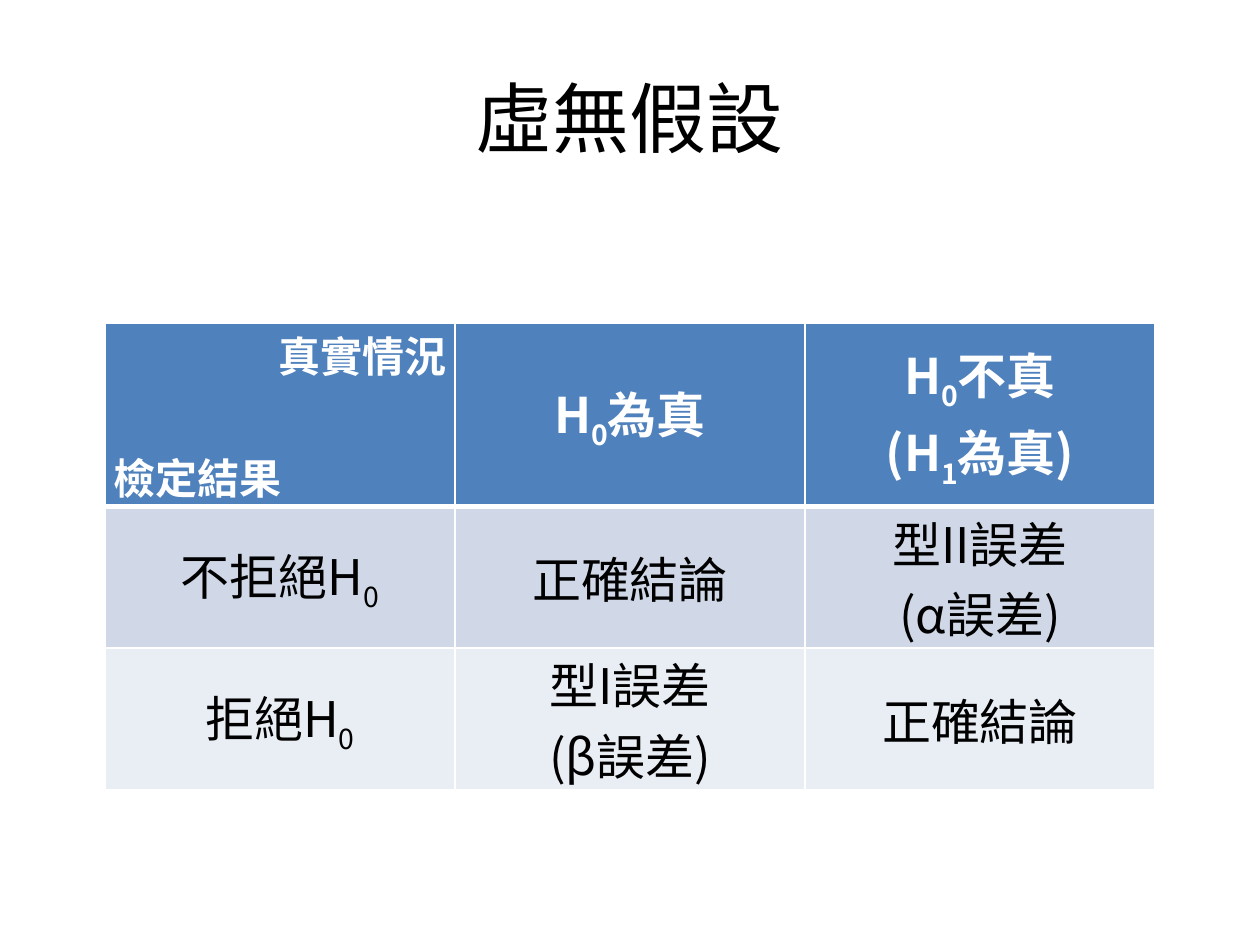
from dataclasses import dataclass

from lxml.etree import SubElement
from pptx import Presentation
from pptx.dml.color import RGBColor as RGB
from pptx.enum.text import MSO_ANCHOR as Anchor, PP_ALIGN as Align
from pptx.oxml.ns import qn
from pptx.util import Pt


@dataclass(frozen=True)
class Theme:
    font: str = "Noto Sans CJK SC"
    title_size: int = 44
    cell_size: int = 28
    corner_size: int = 24
    ink: str = "000000"
    white: str = "FFFFFF"
    row_fills: tuple = ("4F81BD", "D0D8E8", "E9EDF4")


theme = Theme()


def write(paragraph, text, size, color, align, bold=False):
    """Fill a paragraph; the character after each underscore is a subscript."""
    paragraph.alignment = align
    font = paragraph.font
    font.name, font.size, font.bold = theme.font, Pt(size), bold
    font.color.rgb = RGB.from_string(color)
    SubElement(font._element, qn("a:ea"), typeface=theme.font)
    first, *rest = text.split("_")
    paragraph.add_run().text = first
    for part in rest:
        subscript = paragraph.add_run()
        subscript.text = part[0]
        subscript._r.get_or_add_rPr().set("baseline", "-25000")
        if part[1:]:
            paragraph.add_run().text = part[1:]


def style_cell(cell, fill, bottom):
    """Set margins, white borders and the fill of a cell."""
    cell.margin_left = cell.margin_right = Pt(5)
    cell.margin_top = cell.margin_bottom = Pt(0)
    properties = cell._tc.get_or_add_tcPr()
    for side, width in (("L", 1), ("R", 1), ("T", 1), ("B", bottom)):
        border = SubElement(properties, qn(f"a:ln{side}"), w=str(Pt(width)))
        solid = SubElement(border, qn("a:solidFill"))
        SubElement(solid, qn("a:srgbClr"), val=theme.white)
    cell.fill.solid()
    cell.fill.fore_color.rgb = RGB.from_string(fill)


presentation = Presentation()
presentation.slide_width, presentation.slide_height = Pt(720), Pt(540)
slide = presentation.slides.add_slide(presentation.slide_layouts[5])

# Title
title = slide.shapes.title
title.left, title.top, title.width, title.height = Pt(36), Pt(21.6), Pt(648), Pt(90)
title.text_frame.vertical_anchor = Anchor.MIDDLE
write(title.text_frame.paragraphs[0], "虛無假設", theme.title_size, theme.ink, Align.CENTER)

# Decision table: test result by true state
decisions = [
    [["真實情況", "檢定結果"], ["H_0為真"], ["H_0不真", "(H_1為真)"]],
    [["不拒絕H_0"], ["正確結論"], ["型II誤差", "(α誤差)"]],
    [["拒絕H_0"], ["型I誤差", "(β誤差)"], ["正確結論"]],
]
table = slide.shapes.add_table(3, 3, Pt(60), Pt(185), Pt(600), Pt(220.2)).table

for r, (row, fill) in enumerate(zip(decisions, theme.row_fills)):
    header = r == 0
    for c, lines in enumerate(row):
        corner = header and c == 0
        cell = table.cell(r, c)
        style_cell(cell, fill, bottom=3 if header else 1)
        cell.vertical_anchor = Anchor.TOP if corner else Anchor.MIDDLE
        for i, line in enumerate(lines):
            frame = cell.text_frame
            paragraph = frame.add_paragraph() if i else frame.paragraphs[0]
            align = (Align.RIGHT, Align.LEFT)[i] if corner else Align.CENTER
            size = theme.corner_size if corner else theme.cell_size
            color = theme.white if header else theme.ink
            write(paragraph, line, size, color, align, bold=header)

# The corner's row label sits one line below its column label
table.cell(0, 0).text_frame.paragraphs[1].space_before = Pt(34.75)

presentation.save("out.pptx")
